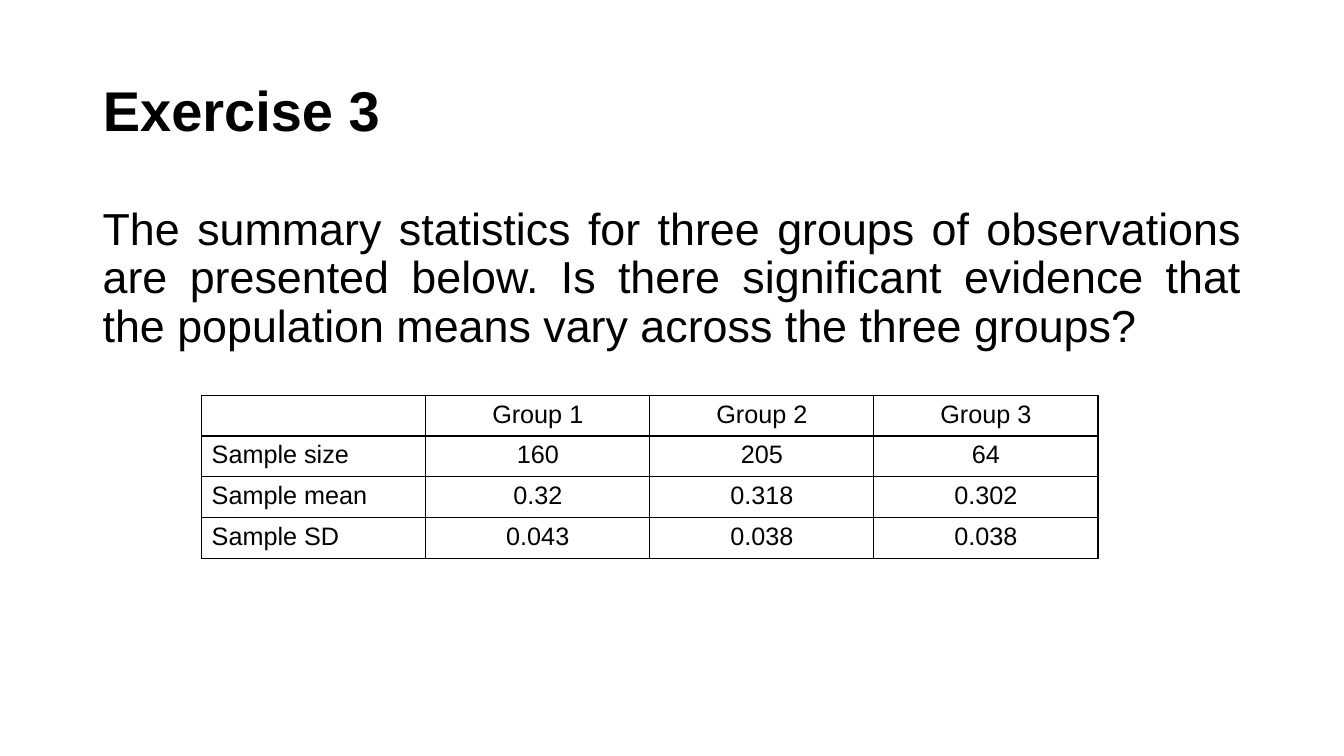
from dataclasses import dataclass

from lxml import etree
from pptx import Presentation
from pptx.dml.color import RGBColor
from pptx.enum import text
from pptx.oxml import ns
from pptx.util import Inches, Pt


@dataclass(frozen=True)
class Theme:
    font: str = "Arial"
    ink: str = "000000"
    paper: str = "FFFFFF"
    title_size: int = 40
    body_size: int = 32
    table_size: int = 18
    border_width: int = 1


theme = Theme()


def write(frame, words, size, bold=False, align=text.PP_ALIGN.LEFT,
          line_spacing=1.0, space_before=0):
    paragraph = frame.paragraphs[0]
    paragraph.alignment = align
    paragraph.line_spacing = line_spacing
    paragraph.space_before = Pt(space_before)
    run = paragraph.add_run()
    run.text = words
    run.font.name = theme.font
    run.font.size = Pt(size)
    run.font.bold = bold
    run.font.color.rgb = RGBColor.from_string(theme.ink)


def add_borders(cell):
    """Draw all four sides; border elements must precede the cell's fill."""
    properties = cell._tc.get_or_add_tcPr()
    for position, side in enumerate(("lnL", "lnR", "lnT", "lnB")):
        line = etree.Element(ns.qn(f"a:{side}"), w=str(Pt(theme.border_width)))
        fill = etree.SubElement(line, ns.qn("a:solidFill"))
        etree.SubElement(fill, ns.qn("a:srgbClr"), val=theme.ink)
        properties.insert(position, line)


presentation = Presentation()
presentation.slide_width = Inches(13.33)
presentation.slide_height = Inches(7.5)
slide = presentation.slides.add_slide(presentation.slide_layouts.get_by_name("Title Only"))
slide.background.fill.solid()
slide.background.fill.fore_color.rgb = RGBColor.from_string(theme.paper)

# Title
title = slide.shapes.title
title.left, title.top = Inches(0.92), Inches(0.4)
title.width, title.height = Inches(11.5), Inches(1.45)
title.text_frame.vertical_anchor = text.MSO_ANCHOR.MIDDLE
title.text_frame.auto_size = text.MSO_AUTO_SIZE.NONE
write(title.text_frame, "Exercise 3", theme.title_size, bold=True, line_spacing=0.9)

# Question
question = slide.shapes.add_textbox(Inches(0.92), Inches(2), Inches(11.5), Inches(4.76))
question.text_frame.word_wrap = True
write(
    question.text_frame,
    "The summary statistics for three groups of observations are presented below. "
    "Is there significant evidence that the population means vary across the three groups?",
    theme.body_size,
    align=text.PP_ALIGN.JUSTIFY,
    line_spacing=0.9,
    space_before=10,
)

# Summary statistics
statistics = [
    ("", "Group 1", "Group 2", "Group 3"),
    ("Sample size", "160", "205", "64"),
    ("Sample mean", "0.32", "0.318", "0.302"),
    ("Sample SD", "0.043", "0.038", "0.038"),
]
table = slide.shapes.add_table(
    len(statistics), len(statistics[0]), Inches(2), Inches(3.92), Inches(8.89), Inches(1.62)
).table
table.first_row = False
table.horz_banding = False

for row_index, row in enumerate(statistics):
    for column_index, words in enumerate(row):
        cell = table.cell(row_index, column_index)
        cell.fill.background()
        add_borders(cell)
        if words:
            align = text.PP_ALIGN.CENTER if column_index else text.PP_ALIGN.LEFT
            write(cell.text_frame, words, theme.table_size, align=align)

presentation.save("out.pptx")
